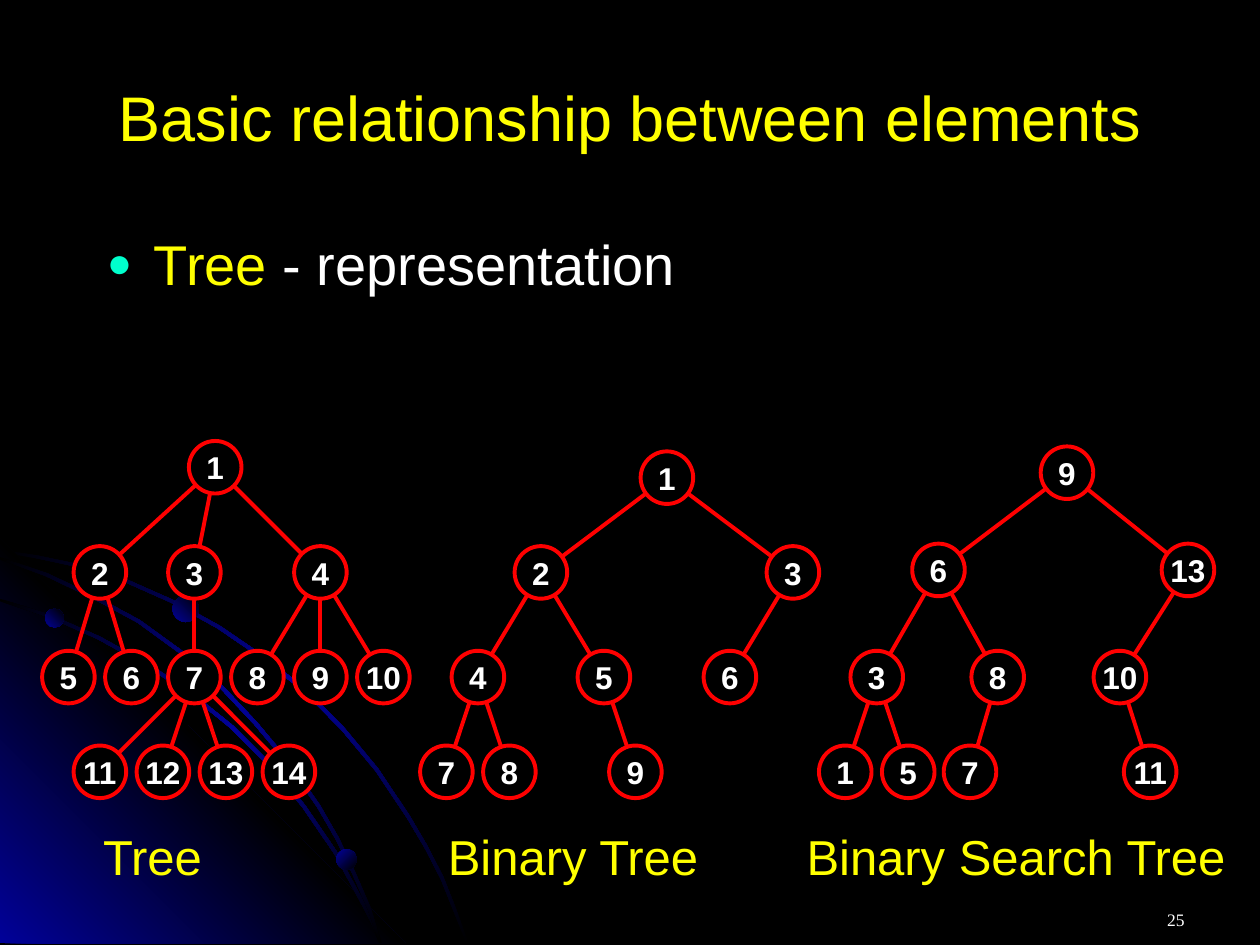
import copy
import dataclasses
import math

import lxml.etree
import pptx
import pptx.dml.color
import pptx.enum.shapes
import pptx.enum.text
import pptx.oxml.ns
import pptx.util

Cm = pptx.util.Cm
Pt = pptx.util.Pt
Align = pptx.enum.text.PP_ALIGN
Anchor = pptx.enum.text.MSO_ANCHOR


@dataclasses.dataclass(frozen=True)
class Theme:
    background: str = "000000"
    glow: str = "010199"
    accent: str = "FFFF00"
    text: str = "FFFFFF"
    bullet: str = "00FFCC"
    edge: str = "FF0000"
    font: str = "Arial"
    number_font: str = "Times New Roman"
    title_size: int = 36
    body_size: int = 32
    caption_size: int = 28
    node_size: int = 18
    number_size: int = 10
    line_width: float = 2.25


@dataclasses.dataclass(frozen=True)
class Tree:
    """Nodes are (label, parent label, column, level); columns count from left."""
    caption: str
    caption_left: float
    caption_width: float
    left: float
    level_tops: tuple
    nodes: tuple


NODE_SIZE = 1.06
COLUMN_STEP = 1.27
EDGE_TRIM = 0.4
CAPTION_TOP = 16.51
RIBBON_WIDTH = 0.05
SLIDE_WIDTH, SLIDE_HEIGHT = 25.4, 19.05

TREES = (
    Tree("Tree", 1.78, 3, 0.85, (8.89, 11.01, 13.12, 15.03), (
        ("1", None, 2.33, 0),
        ("2", "1", 0.5, 1), ("3", "1", 2, 1), ("4", "1", 4, 1),
        ("5", "2", 0, 2), ("6", "2", 1, 2), ("7", "3", 2, 2),
        ("8", "4", 3, 2), ("9", "4", 4, 2), ("10", "4", 5, 2),
        ("11", "7", 0.5, 3), ("12", "7", 1.5, 3),
        ("13", "7", 2.5, 3), ("14", "7", 3.5, 3))),
    Tree("Binary Tree", 8.73, 6, 8.47, (9.1, 11.01, 13.12, 15.03), (
        ("1", None, 3.5, 0),
        ("2", "1", 1.5, 1), ("3", "1", 5.5, 1),
        ("4", "2", 0.5, 2), ("5", "2", 2.5, 2), ("6", "3", 4.5, 2),
        ("7", "4", 0, 3), ("8", "4", 1, 3), ("9", "5", 3, 3))),
    Tree("Binary Search Tree", 15.96, 9.2, 16.51, (9, 10.96, 13.12, 15.03), (
        ("9", None, 3.52, 0),
        ("6", "9", 1.48, 1), ("13", "9", 5.44, 1),
        ("3", "6", 0.5, 2), ("8", "6", 2.42, 2), ("10", "13", 4.36, 2),
        ("1", "3", 0, 3), ("5", "3", 1, 3), ("7", "8", 1.98, 3),
        ("11", "10", 4.84, 3))),
)

RIBBONS = (
    ((0, 11.13), (0.71, 11.25), (1.42, 11.4), (2.46, 11.71), (3.43, 12.14),
     (4.39, 12.67), (5.28, 13.28), (6.12, 13.94), (6.88, 14.71), (7.57, 15.54),
     (8.2, 16.48), (8.56, 17.09), (8.89, 17.73), (9.14, 18.36), (9.4, 19.02)),
    ((0, 12.12), (0.99, 12.45), (1.96, 12.88), (2.92, 13.41), (3.81, 14),
     (4.65, 14.68), (5.41, 15.44), (6.1, 16.28), (6.73, 17.2), (7.24, 18.14),
     (7.47, 18.59), (7.65, 19.02)),
    ((0, 11.28), (0.91, 11.61), (1.88, 12.07), (2.77, 12.55), (3.61, 13.16),
     (4.39, 13.82), (5.13, 14.61), (5.77, 15.37), (6.4, 16.28), (6.78, 16.94),
     (7.11, 17.63), (7.42, 18.34), (7.65, 19.02)),
)
# left, top, diameter, gradient angle
ORBS = ((0.91, 12.27, 0.38, 45), (6.78, 17.12, 0.41, 315), (3.48, 12.01, 0.53, 45))


class SlideBuilder:
    def __init__(self, slide, theme):
        self.slide = slide
        self.theme = theme
        self.set_solid(slide.background.fill, theme.background)

    def set_solid(self, fill, color):
        fill.solid()
        fill.fore_color.rgb = pptx.dml.color.RGBColor.from_string(color)

    def set_gradient(self, shape, colors, angle):
        """Spread the colours evenly; the angle runs counter-clockwise."""
        shape.fill.gradient()
        shape.fill.gradient_angle = angle
        stop_list = shape._element.xpath(".//a:gsLst")[0]
        while len(stop_list) < len(colors):
            stop_list.append(copy.deepcopy(stop_list[0]))
        for index, (stop, color) in enumerate(zip(shape.fill.gradient_stops, colors)):
            stop.position = index / (len(colors) - 1)
            stop.color.rgb = pptx.dml.color.RGBColor.from_string(color)
        shape.line.fill.background()
        shape.shadow.inherit = False

    def add_run(self, paragraph, text, size, color, font=None, bold=False):
        run = paragraph.add_run()
        run.text = text
        run.font.name = font or self.theme.font
        run.font.size = Pt(size)
        run.font.bold = bold
        self.set_solid(run.font.fill, color)

    def place(self, shape, left, top, width, height):
        shape.left, shape.top = Cm(left), Cm(top)
        shape.width, shape.height = Cm(width), Cm(height)
        shape.text_frame.auto_size = pptx.enum.text.MSO_AUTO_SIZE.NONE
        return shape.text_frame

    def add_title(self, text):
        frame = self.place(self.slide.shapes.title, 1.27, 0.76, 22.86, 3.18)
        frame.vertical_anchor = Anchor.MIDDLE
        frame.paragraphs[0].alignment = Align.CENTER
        self.add_run(frame.paragraphs[0], text, self.theme.title_size, self.theme.accent)

    def add_body(self, term, remainder):
        frame = self.place(self.slide.placeholders[1], 1.9, 4.5, 21.6, 11.43)
        paragraph = frame.paragraphs[0]
        self.add_run(paragraph, term, self.theme.body_size, self.theme.accent)
        self.add_run(paragraph, remainder, self.theme.body_size, self.theme.text)
        properties = paragraph._p.get_or_add_pPr()
        properties.set("marL", str(Cm(0.95)))
        properties.set("indent", str(-Cm(0.95)))
        qn = pptx.oxml.ns.qn
        color = lxml.etree.SubElement(properties, qn("a:buClr"))
        lxml.etree.SubElement(color, qn("a:srgbClr"), val=self.theme.bullet)
        lxml.etree.SubElement(properties, qn("a:buSzPct"), val="75000")
        lxml.etree.SubElement(properties, qn("a:buChar"), char="●")

    def add_outline(self, points, colors, angle):
        corners = [(Cm(x), Cm(y)) for x, y in points]
        builder = self.slide.shapes.build_freeform(*corners[0])
        builder.add_line_segments(corners[1:], close=True)
        self.set_gradient(builder.convert_to_shape(), colors, angle)

    def add_ribbon(self, inner):
        """Draw a thin curved band from its inner edge."""
        first, *middle, last = inner
        outer = [(first[0], first[1] - RIBBON_WIDTH)]
        outer += [(x + RIBBON_WIDTH, y - RIBBON_WIDTH) for x, y in middle]
        outer.append((last[0] + RIBBON_WIDTH, last[1]))
        theme = self.theme
        self.add_outline([*inner, *reversed(outer)],
                         (theme.background, theme.glow, theme.background), 315)

    def add_ellipse(self, left, top, diameter):
        return self.slide.shapes.add_shape(
            pptx.enum.shapes.MSO_SHAPE.OVAL, Cm(left), Cm(top), Cm(diameter), Cm(diameter))

    def add_backdrop(self):
        dark, glow = self.theme.background, self.theme.glow
        self.add_ribbon(RIBBONS[0])
        self.add_outline(((0, 10.85), (8.18, 19.02), (0, 19.02)), (glow, dark, glow), 45)
        for ribbon in RIBBONS[1:]:
            self.add_ribbon(ribbon)
        for left, top, diameter, angle in ORBS:
            self.set_gradient(self.add_ellipse(left, top, diameter), (glow, dark), angle)

    def style_line(self, line):
        self.set_solid(line.fill, self.theme.edge)
        line.width = Pt(self.theme.line_width)

    def add_edge(self, start, end):
        """Join two node centres, stopping just inside each circle."""
        share = EDGE_TRIM / math.dist(start, end)
        step = [(b - a) * share for a, b in zip(start, end)]
        ends = [a + s for a, s in zip(start, step)] + [b - s for b, s in zip(end, step)]
        connector = self.slide.shapes.add_connector(
            pptx.enum.shapes.MSO_CONNECTOR.STRAIGHT, *map(Cm, ends))
        self.style_line(connector.line)
        lxml.etree.SubElement(connector._element.spPr, pptx.oxml.ns.qn("a:effectLst"))

    def add_node(self, label, center):
        node = self.add_ellipse(*(value - NODE_SIZE / 2 for value in center), NODE_SIZE)
        self.set_solid(node.fill, self.theme.background)
        self.style_line(node.line)
        node.shadow.inherit = False
        frame = node.text_frame
        frame.word_wrap = False
        frame.vertical_anchor = Anchor.MIDDLE
        frame.paragraphs[0].alignment = Align.CENTER
        self.add_run(frame.paragraphs[0], label, self.theme.node_size, self.theme.text, bold=True)

    def add_tree(self, tree):
        centers = {label: (tree.left + column * COLUMN_STEP + NODE_SIZE / 2,
                           tree.level_tops[level] + NODE_SIZE / 2)
                   for label, _, column, level in tree.nodes}
        for label, parent, _, _ in tree.nodes:
            if parent:
                self.add_edge(centers[parent], centers[label])
        for label, center in centers.items():
            self.add_node(label, center)
        frame = self.add_text_box(tree.caption_left, CAPTION_TOP, tree.caption_width, 1.5)
        frame.word_wrap = False
        frame.margin_left = frame.margin_right = Cm(0.3)
        frame.margin_top = frame.margin_bottom = Cm(0.15)
        self.add_run(frame.paragraphs[0], tree.caption, self.theme.caption_size, self.theme.accent)

    def add_text_box(self, left, top, width, height):
        box = self.slide.shapes.add_textbox(Cm(left), Cm(top), Cm(width), Cm(height))
        box.text_frame.word_wrap = True
        return box.text_frame

    def add_slide_number(self, number):
        frame = self.add_text_box(18.2, 17.8, 5.93, 1.27)
        frame.margin_top = Cm(0.53)
        frame.paragraphs[0].alignment = Align.RIGHT
        self.add_run(frame.paragraphs[0], number, self.theme.number_size,
                     self.theme.text, self.theme.number_font)


def main():
    presentation = pptx.Presentation()
    presentation.slide_width, presentation.slide_height = Cm(SLIDE_WIDTH), Cm(SLIDE_HEIGHT)
    slide = presentation.slides.add_slide(presentation.slide_layouts[1])
    builder = SlideBuilder(slide, Theme())
    builder.add_backdrop()
    builder.add_title("Basic relationship between elements")
    builder.add_body("Tree ", "- representation")
    for tree in TREES:
        builder.add_tree(tree)
    builder.add_slide_number("25")
    presentation.save("out.pptx")


if __name__ == "__main__":
    main()
